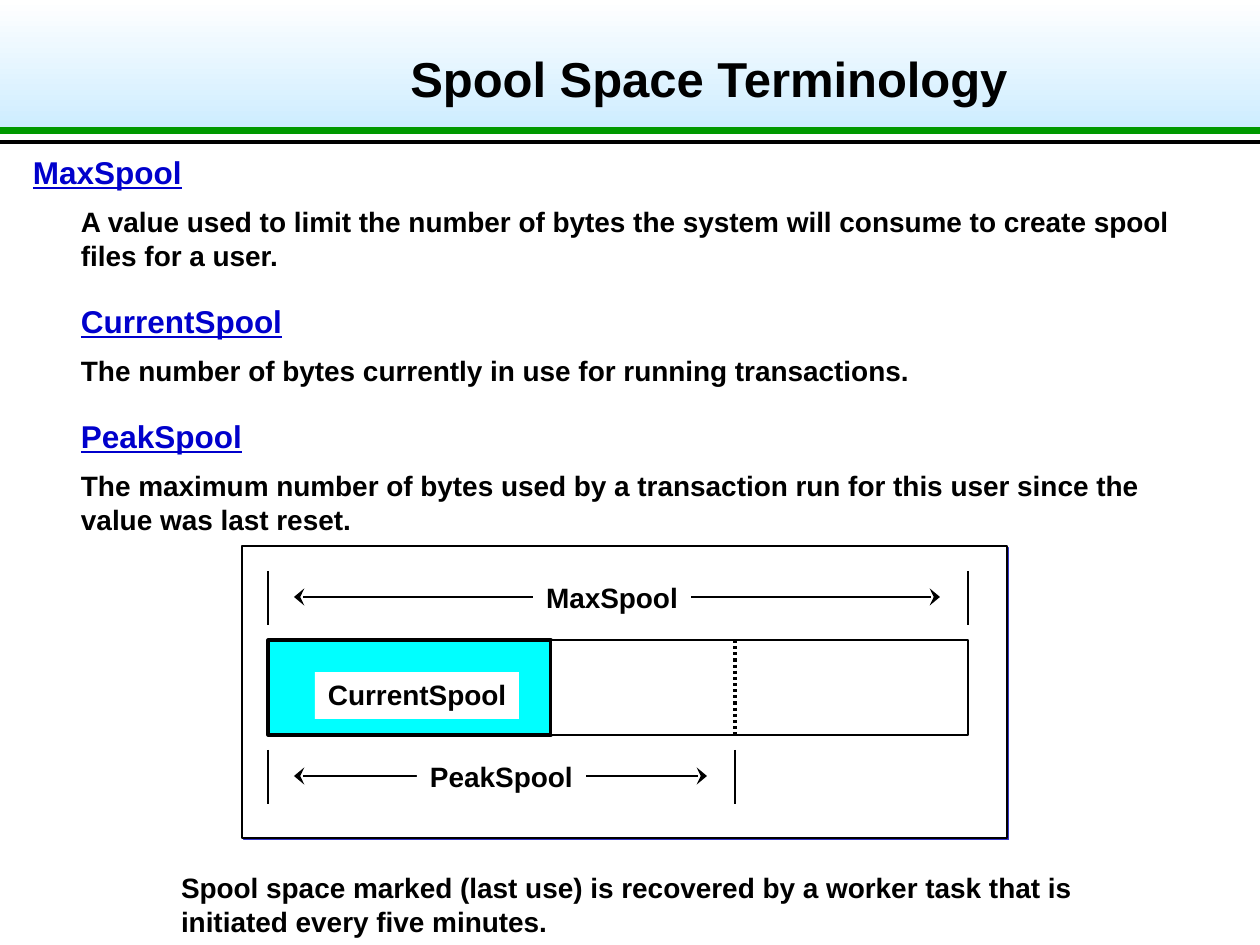
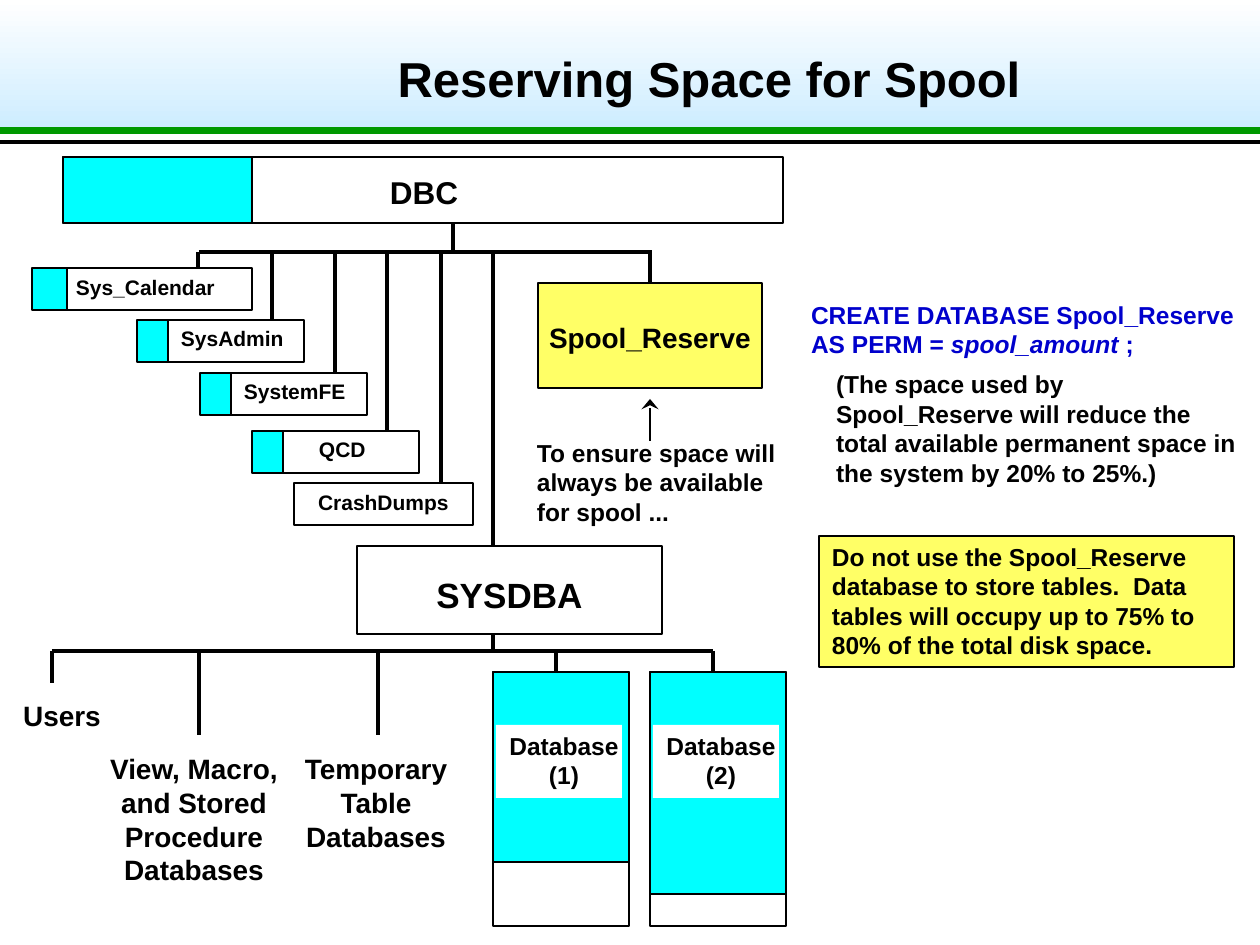
from dataclasses import dataclass

from lxml.etree import SubElement
from pptx import Presentation
from pptx.dml.color import RGBColor
from pptx.enum.dml import MSO_LINE
from pptx.enum.shapes import MSO_CONNECTOR, MSO_SHAPE
from pptx.enum.text import MSO_ANCHOR, PP_ALIGN
from pptx.oxml.ns import qn
from pptx.util import Pt

PX = 914400 / 126


@dataclass(frozen=True)
class Theme:
    """Colours, font and type sizes shared by the slides."""
    font: str = "Arial"
    black: str = "000000"
    white: str = "FFFFFF"
    sky: str = "CCECFF"
    green: str = "009900"
    blue: str = "0000CC"
    cyan: str = "00FFFF"
    yellow: str = "FFFF66"
    shade: str = "3333CC"
    title: int = 28
    root: int = 20
    heading: int = 18
    body: int = 16
    note: int = 14
    small: int = 12


THEME = Theme()


@dataclass(frozen=True)
class Box:
    """A rectangle in px."""
    x: int
    y: int
    w: int
    h: int

    def at(self, dx, dy, w, h):
        """Return a box offset from this one's corner."""
        return Box(self.x + dx, self.y + dy, w, h)

    @property
    def emu(self):
        """Return left, top, width and height in EMU."""
        return [emu(v) for v in (self.x, self.y, self.w, self.h)]


def emu(px):
    """Turn px into EMU."""
    return round(px * PX)


def rgb(color):
    """Turn a hex string into a colour."""
    return RGBColor.from_string(color)


def frame(shape, inset=(13, 6, 13, 6), wrap=True, anchor=MSO_ANCHOR.TOP):
    """Set the text margins, wrapping and anchor of a shape."""
    text_frame = shape.text_frame
    text_frame.word_wrap = wrap
    text_frame.vertical_anchor = anchor
    (text_frame.margin_left, text_frame.margin_top,
     text_frame.margin_right, text_frame.margin_bottom) = map(emu, inset)
    return shape


def write(shape, text, size=THEME.body, color=THEME.black, align=PP_ALIGN.LEFT,
          underline=False, italic=False, before=0, indent=0, inline=False):
    """Add bold text, one paragraph a line, or continue the last paragraph."""
    for line in text.split("\n"):
        paragraph = shape.text_frame.paragraphs[-1]
        if paragraph.runs and not inline:
            paragraph = shape.text_frame.add_paragraph()
        if not inline:
            paragraph.alignment = align
            paragraph.space_before = Pt(before)
            paragraph._p.get_or_add_pPr().set("marL", str(emu(indent)))
        run = paragraph.add_run()
        run.text = line
        font = run.font
        font.name, font.size, font.bold = THEME.font, Pt(size), True
        font.underline, font.italic = underline, italic
        font.color.rgb = rgb(color)
    return shape


def text_area(slide, box, **options):
    """Add an empty text box."""
    return frame(slide.shapes.add_textbox(*box.emu), **options)


def block(slide, box, fill=THEME.white, width=1.5, **options):
    """Add a filled rectangle, outlined unless its line width is 0."""
    shape = slide.shapes.add_shape(MSO_SHAPE.RECTANGLE, *box.emu)
    shape.shadow.inherit = False
    shape.fill.solid()
    shape.fill.fore_color.rgb = rgb(fill)
    if width:
        shape.line.color.rgb = rgb(THEME.black)
        shape.line.width = Pt(width)
    else:
        shape.line.fill.background()
    return frame(shape, **options)


def rule(slide, x1, y1, x2, y2, width=2.0, color=THEME.black, arrows=()):
    """Add a straight line with arrowheads at the named ends."""
    line = slide.shapes.add_connector(MSO_CONNECTOR.STRAIGHT, *map(emu, (x1, y1, x2, y2)))
    line.line.color.rgb = rgb(color)
    line.line.width = Pt(width)
    for end in arrows:
        SubElement(line.line._get_or_add_ln(), qn(f"a:{end}"), type="stealth", w="lg", len="med")
    SubElement(line._element.spPr, qn("a:effectLst"))
    return line


def header(slide, box, title):
    """Draw the gradient band, its two rules and the title."""
    band = block(slide, box, width=0)
    band.fill.gradient()
    band.fill.gradient_angle = 270
    for stop, color in zip(band.fill.gradient_stops, (THEME.white, THEME.sky)):
        stop.color.rgb = rgb(color)
    right = box.x + box.w
    rule(slide, box.x, box.y + 142, right, box.y + 142)
    rule(slide, box.x, box.y + 131, right, box.y + 131, 4, THEME.green)
    heading = text_area(slide, box.at(210, 20, 998, 116), anchor=MSO_ANCHOR.MIDDLE)
    write(heading, title, THEME.title, align=PP_ALIGN.CENTER)


def definitions(slide, box, terms):
    """List underlined terms, each with its meaning below."""
    area = text_area(slide, box)
    for index, (term, meaning) in enumerate(terms):
        write(area, term, THEME.heading, THEME.blue, underline=True,
              before=17 if index else 0, indent=48 if index else 0)
        write(area, meaning, before=8, indent=48)


def span(slide, box, name, label_x, label_w):
    """Mark a length with end ticks, a double arrow and a label."""
    right, middle = box.x + box.w, box.y + 26
    for x in (box.x, right):
        rule(slide, x, box.y, x, box.y + box.h, 1)
    rule(slide, box.x + 26, middle, right - 28, middle, 1.5, arrows=("headEnd", "tailEnd"))
    tag(slide, box.at(label_x, 4, label_w, 47), name)


def tag(slide, box, name):
    """Place a name on a white patch."""
    write(block(slide, box, width=0, wrap=False), name)


def spool_gauge(slide, box):
    """Draw the spool bar with its current, peak and maximum lengths."""
    panel = block(slide, box, width=1)
    effects = panel._element.spPr.find(qn("a:effectLst"))
    shadow = SubElement(effects, qn("a:outerShdw"), dist=str(Pt(1.4)), dir="2700000",
                        algn="ctr", rotWithShape="0")
    SubElement(shadow, qn("a:srgbClr"), val=THEME.shade)

    bar = box.at(26, 94, 700, 95)
    current, peak = 283, 467
    block(slide, bar.at(0, 0, current, bar.h), THEME.cyan, 1.75)
    block(slide, bar.at(current, 0, bar.w - current, bar.h), width=1.25)
    peak_mark = rule(slide, bar.x + peak, bar.y, bar.x + peak, bar.y + bar.h, 1.75)
    peak_mark.line.dash_style = MSO_LINE.ROUND_DOT
    span(slide, bar.at(0, -69, bar.w, 54), "MaxSpool", 265, 158)
    span(slide, bar.at(0, 110, peak, 54), "PeakSpool", 149, 169)
    tag(slide, bar.at(47, 32, 204, 47), "CurrentSpool")


def system_branch(slide, box):
    """Draw DBC, its small system databases and the spool reserve."""
    bus = box.y + 95
    rule(slide, box.x + 390, box.y + 64, box.x + 390, bus)
    rule(slide, box.x + 136, bus, box.x + 589, bus)
    dbc = block(slide, box.at(0, 0, 720, 66), inset=(15, 16, 13, 6))
    write(dbc, "DBC", THEME.heading, align=PP_ALIGN.CENTER)
    block(slide, box.at(0, 0, 189, 66), THEME.cyan)

    left, center = PP_ALIGN.LEFT, PP_ALIGN.CENTER
    for name, x, y, w, used, drop, pad, align in (
            ("Sys_Calendar", 0, 111, 189, 35, 135, 13, left),
            ("SysAdmin", 105, 163, 136, 31, 209, 13, left),
            ("SystemFE", 168, 216, 136, 31, 272, 13, left),
            ("QCD", 220, 274, 136, 31, 324, 36, left),
            ("CrashDumps", 231, 326, 179, 0, 378, 13, center)):
        rule(slide, box.x + drop, bus, box.x + drop, box.y + y)
        database = block(slide, box.at(x, y, w, 42), inset=(pad, 6, 0 if align == left else pad, 6))
        write(database, name, THEME.small, align=align)
        if used:
            block(slide, box.at(x - 31, y, used, 42), THEME.cyan)

    reserve = block(slide, box.at(475, 126, 224, 105), THEME.yellow,
                    inset=(13, 38, 13, 6), wrap=False)
    write(reserve, "Spool_Reserve", align=center)
    drop = rule(slide, box.x + 587, bus, box.x + 587, box.y + 126)
    drop.end_connect(reserve, 0)
    rule(slide, box.x + 587, box.y + 242, box.x + 587, box.y + 284, 1.5, arrows=("headEnd",))
    reason = text_area(slide, box.at(461, 275, 275, 101))
    write(reason, "To ensure space will always be available for spool ...", THEME.note)


def filled_database(slide, box, name, used):
    """Draw a database column filled down to the used height."""
    block(slide, box)
    block(slide, box.at(0, 0, box.w, used), THEME.cyan)
    label = block(slide, box.at(3, 53, 126, 73), width=0, inset=(10, 6, 0, 6), wrap=False)
    write(label, name, THEME.note, align=PP_ALIGN.CENTER)


def user_branch(slide, box):
    """Draw SYSDBA with the users and databases below it."""
    bus = box.y + 399
    rule(slide, box.x + 441, box.y, box.x + 441, bus)
    rule(slide, box.x, bus, box.x + 661, bus)
    for drop, length in ((0, 32), (147, 84), (326, 84), (504, 21), (661, 21)):
        rule(slide, box.x + drop, bus, box.x + drop, bus + length)
    sysdba = block(slide, box.at(305, 294, 305, 88), inset=(13, 28, 13, 6))
    write(sysdba, "SYSDBA", THEME.root, align=PP_ALIGN.CENTER)
    for name, x, y, w, h in (
            ("Users", -50, 441, 120, 47),
            ("View, Macro,\nand Stored\nProcedure\nDatabases", 37, 494, 210, 147),
            ("Temporary\nTable\nDatabases", 234, 494, 180, 113)):
        write(text_area(slide, box.at(x, y, w, h)), name, align=PP_ALIGN.CENTER)
    for index, used in enumerate((190, 222)):
        filled_database(slide, box.at(441 + 157 * index, 420, 136, 254),
                        f"Database\n({index + 1})", used)


def reserve_notes(slide, box):
    """Show the statement that makes the reserve, and a warning."""
    statement = text_area(slide, box.at(0, 0, box.w, 200))
    sql = dict(size=THEME.note, color=THEME.blue)
    write(statement, "CREATE DATABASE Spool_Reserve AS PERM = ", **sql)
    write(statement, "spool_amount", italic=True, inline=True, **sql)
    write(statement, " ;", inline=True, **sql)
    write(statement, "(The space used by Spool_Reserve will reduce the total available "
          "permanent space in the system by 20% to 25%.)", THEME.note, before=6, indent=25)
    warning = block(slide, box.at(21, 242, 415, 131), THEME.yellow, 1.25)
    write(warning, "Do not use the Spool_Reserve database to store tables.  Data tables "
          "will occupy up to 75% to 80% of the total disk space.", THEME.note)


def terminology_slide(slide):
    """Build the slide that defines the spool terms."""
    header(slide, Box(0, 0, 1260, 132), "Spool Space Terminology")
    definitions(slide, Box(20, 147, 1207, 396), (
        ("MaxSpool", "A value used to limit the number of bytes the system will consume "
         "to create spool files for a user."),
        ("CurrentSpool", "The number of bytes currently in use for running transactions."),
        ("PeakSpool", "The maximum number of bytes used by a transaction run for this user "
         "since the value was last reset.")))
    spool_gauge(slide, Box(242, 546, 765, 292))
    recovery = text_area(slide, Box(168, 865, 976, 80))
    write(recovery, "Spool space marked (last use) is recovered by a worker task that is "
          "initiated every five minutes.")


def reserving_slide(slide):
    """Build the slide on the database hierarchy and its reserve."""
    header(slide, Box(0, 0, 1260, 132), "Reserving Space for Spool")
    system_branch(slide, Box(63, 157, 720, 376))
    user_branch(slide, Box(52, 252, 735, 674))
    reserve_notes(slide, Box(798, 294, 462, 373))


def main():
    """Build and save the deck."""
    deck = Presentation()
    deck.slide_width, deck.slide_height = emu(1260), emu(945)
    for build in (terminology_slide, reserving_slide):
        build(deck.slides.add_slide(deck.slide_layouts[6]))
    deck.save("out.pptx")


if __name__ == "__main__":
    main()
